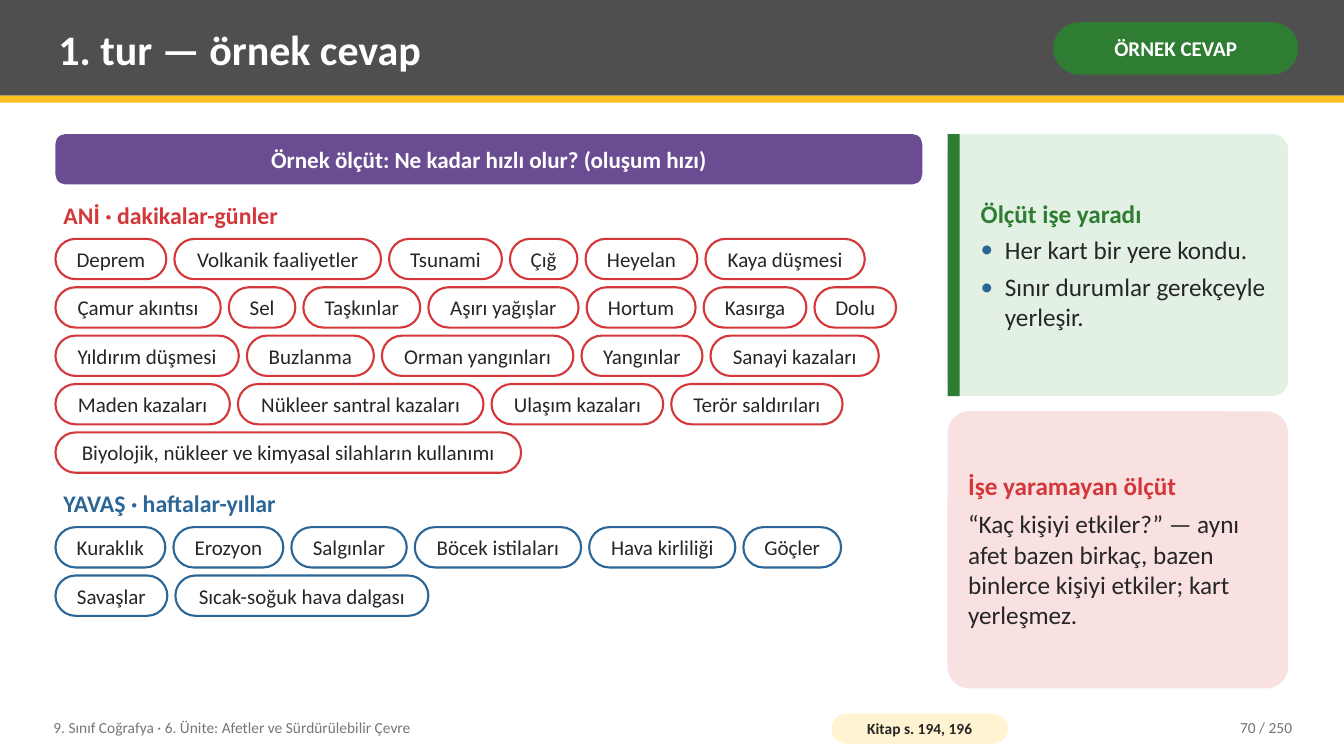
from dataclasses import dataclass

from lxml import etree
from pptx import Presentation
from pptx.dml.color import RGBColor
from pptx.enum.shapes import MSO_SHAPE
from pptx.enum.text import MSO_ANCHOR, PP_ALIGN
from pptx.oxml.ns import qn
from pptx.util import Pt

RECT = MSO_SHAPE.RECTANGLE
ROUND = MSO_SHAPE.ROUNDED_RECTANGLE
TOP, MIDDLE = MSO_ANCHOR.TOP, MSO_ANCHOR.MIDDLE
LEFT, CENTER, RIGHT = PP_ALIGN.LEFT, PP_ALIGN.CENTER, PP_ALIGN.RIGHT


@dataclass(frozen=True)
class Theme:
    font: str = "Calibri"
    white: str = "FFFFFF"
    ink: str = "262626"
    muted: str = "767676"
    header: str = "4F4F4F"
    gold: str = "FCC021"
    cream: str = "FFF3D1"
    purple: str = "6A4C93"
    red: str = "D3373A"
    pink: str = "F9E1E1"
    blue: str = "2C6696"
    green: str = "2E7D32"
    mint: str = "E3F1E4"
    title: float = 30
    body: float = 18
    heading: float = 17
    banner: float = 16.5
    label: float = 15
    small: float = 11


class Board:
    def __init__(self, slide, theme):
        self.s = slide
        self.t = theme

    def frame(self, sp, inset, anchor):
        tf = sp.text_frame
        tf.word_wrap = True
        tf.vertical_anchor = anchor
        tf.margin_left = tf.margin_right = Pt(inset[0])
        tf.margin_top = tf.margin_bottom = Pt(inset[1])
        return tf

    def shape(self, kind, x, y, w, h, fill, radius=None, line=None, inset=(0, 0)):
        sp = self.s.shapes.add_shape(kind, Pt(x), Pt(y), Pt(w), Pt(h))
        sp.shadow.inherit = False
        sp.fill.solid()
        sp.fill.fore_color.rgb = RGBColor.from_string(fill)
        if radius is not None:
            sp.adjustments[0] = radius
        if line:
            sp.line.color.rgb = RGBColor.from_string(line)
            sp.line.width = Pt(1.5)
        else:
            sp.line.fill.background()
        return self.frame(sp, inset, MIDDLE)

    def box(self, x, y, w, h, anchor=MIDDLE):
        sp = self.s.shapes.add_textbox(Pt(x), Pt(y), Pt(w), Pt(h))
        return self.frame(sp, (5.76, 2.88), anchor)

    def text(self, tf, text, *, size, color, bold=False, align=LEFT, after=0, bullet=None):
        p = tf.paragraphs[0]
        if p.runs:
            p = tf.add_paragraph()
        p.alignment = align
        p.space_after = Pt(after)
        if bullet:
            self.bullet(p, bullet)
        r = p.add_run()
        r.text = text
        r.font.name = self.t.font
        r.font.size = Pt(size)
        r.font.bold = bold
        r.font.color.rgb = RGBColor.from_string(color)

    def bullet(self, p, color):
        pPr = p._p.get_or_add_pPr()
        pPr.set("marL", str(Pt(17.28)))
        pPr.set("indent", str(-Pt(17.28)))
        buClr = etree.SubElement(pPr, qn("a:buClr"))
        etree.SubElement(buClr, qn("a:srgbClr"), val=color)
        etree.SubElement(pPr, qn("a:buFont"), typeface=self.t.font)
        etree.SubElement(pPr, qn("a:buChar"), char="•")

    def chips(self, heading, y, rows, color):
        t = self.t
        left, height, gap = 39.6, 28.8, 5.76
        tf = self.box(left, y, 619.2, 28.8, TOP)
        self.text(tf, heading, size=t.heading, color=color, bold=True)
        for i, row in enumerate(rows):
            x = left
            for label, width in row:
                tf = self.shape(ROUND, x, y + 30.24 + i * (height + gap), width, height,
                                t.white, 0.5, color, (4.32, 0))
                self.text(tf, label, size=t.label, color=t.ink, align=CENTER)
                x += width + gap


SUDDEN = [
    [("Deprem", 79.2), ("Volkanik faaliyetler", 147.6), ("Tsunami", 80.6),
     ("Çığ", 48.2), ("Heyelan", 79.9), ("Kaya düşmesi", 113.8)],
    [("Çamur akıntısı", 118.1), ("Sel", 47.5), ("Taşkınlar", 83.5),
     ("Aşırı yağışlar", 107.3), ("Hortum", 77.8), ("Kasırga", 73.4), ("Dolu", 58.3)],
    [("Yıldırım düşmesi", 131), ("Buzlanma", 90.7), ("Orman yangınları", 136.8),
     ("Yangınlar", 86.4), ("Sanayi kazaları", 120.2)],
    [("Maden kazaları", 124.6), ("Nükleer santral kazaları", 175.4),
     ("Ulaşım kazaları", 122.6), ("Terör saldırıları", 122.4)],
    [("Biyolojik, nükleer ve kimyasal silahların kullanımı", 332.6)],
]
SLOW = [
    [("Kuraklık", 78.5), ("Erozyon", 78.5), ("Salgınlar", 82.4),
     ("Böcek istilaları", 118.8), ("Hava kirliliği", 104.4), ("Göçler", 69.8)],
    [("Savaşlar", 79.9), ("Sıcak-soğuk hava dalgası", 180.7)],
]


def main():
    prs = Presentation()
    prs.slide_width, prs.slide_height = Pt(960), Pt(540)
    t = Theme()
    b = Board(prs.slides.add_slide(prs.slide_layouts[6]), t)

    b.shape(RECT, 0, 0, 960, 68.4, t.header)
    b.shape(RECT, 0, 68.4, 960, 5.04, t.gold)
    tf = b.box(36, 5.04, 702, 59.04)
    b.text(tf, "1. tur — örnek cevap", size=t.title, color=t.white, bold=True)
    tf = b.shape(ROUND, 752.4, 15.84, 174.96, 37.44, t.green, 0.5, inset=(3.6, 1.44))
    b.text(tf, "ÖRNEK CEVAP", size=t.label, color=t.white, bold=True, align=CENTER)

    tf = b.shape(ROUND, 39.6, 95.76, 619.2, 36, t.purple, 0.2, inset=(10.08, 5.76))
    b.text(tf, "Örnek ölçüt: Ne kadar hızlı olur? (oluşum hızı)",
           size=t.banner, color=t.white, bold=True, align=CENTER)
    b.chips("ANİ · dakikalar-günler", 140.4, SUDDEN, t.red)
    b.chips("YAVAŞ · haftalar-yıllar", 346.32, SLOW, t.blue)

    b.shape(ROUND, 676.8, 95.76, 243.36, 187.2, t.mint, 0.06)
    b.shape(RECT, 676.8, 95.76, 8.64, 187.2, t.green)
    tf = b.box(694.8, 100.08, 218.16, 178.56)
    b.text(tf, "Ölçüt işe yaradı", size=t.body, color=t.green, bold=True, after=4)
    b.text(tf, "Her kart bir yere kondu.", size=t.body, color=t.ink, after=5, bullet=t.blue)
    b.text(tf, "Sınır durumlar gerekçeyle yerleşir.", size=t.body, color=t.ink, bullet=t.blue)

    tf = b.shape(ROUND, 676.8, 293.76, 243.36, 198, t.pink, 0.08, inset=(10.08, 5.76))
    b.text(tf, "İşe yaramayan ölçüt", size=t.body, color=t.red, bold=True, after=6)
    b.text(tf, "“Kaç kişiyi etkiler?” — aynı afet bazen birkaç, bazen binlerce kişiyi "
           "etkiler; kart yerleşmez.", size=t.body, color=t.ink)

    tf = b.box(32.4, 506.88, 547.2, 25.92)
    b.text(tf, "9. Sınıf Coğrafya · 6. Ünite: Afetler ve Sürdürülebilir Çevre",
           size=t.small, color=t.muted)
    tf = b.shape(ROUND, 594, 509.76, 126, 21.6, t.cream, 0.5, inset=(2.88, 0))
    b.text(tf, "Kitap s. 194, 196", size=t.small, color=t.ink, bold=True, align=CENTER)
    tf = b.box(813.6, 506.88, 115.2, 25.92)
    b.text(tf, "70 / 250", size=t.small, color=t.muted, align=RIGHT)

    prs.save("out.pptx")


if __name__ == "__main__":
    main()
